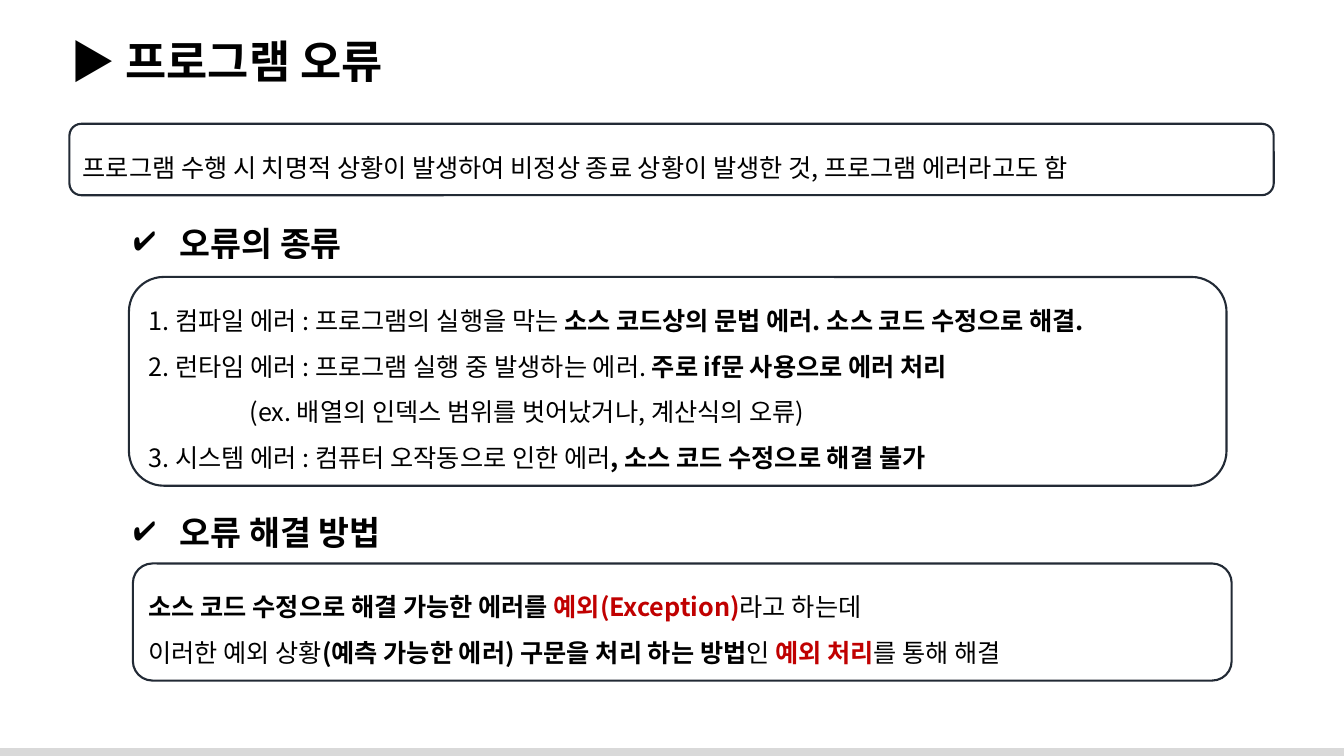
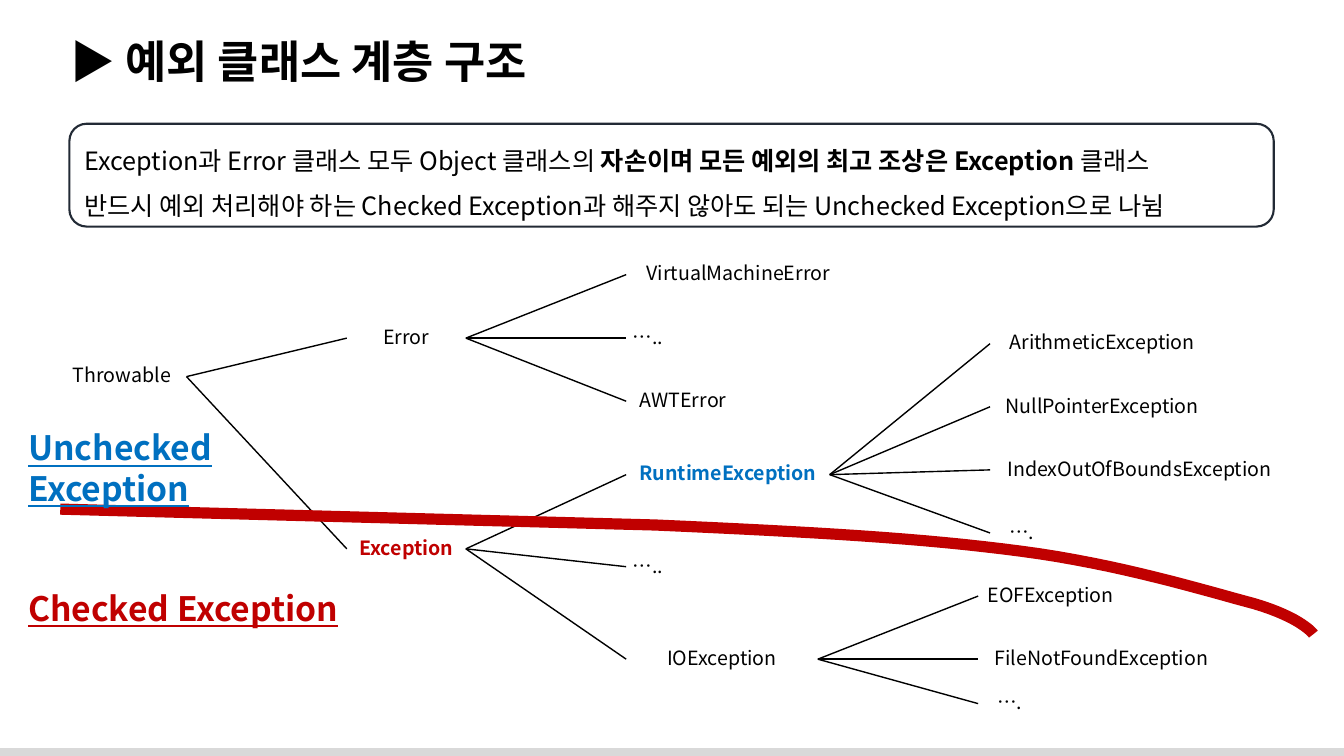
from lxml.etree import SubElement
from pptx import Presentation
from pptx.dml.color import RGBColor
from pptx.enum.shapes import MSO_CONNECTOR, MSO_SHAPE
from pptx.enum.text import MSO_ANCHOR, MSO_AUTO_SIZE, PP_ALIGN
from pptx.oxml.ns import qn
from pptx.util import Cm, Pt

FONT = "Noto Sans CJK KR"
BLACK = RGBColor(0x00, 0x00, 0x00)
NAVY = RGBColor(0x22, 0x2A, 0x35)
GRAY = RGBColor(0xD9, 0xD9, 0xD9)
RED = RGBColor(0xC0, 0x00, 0x00)
BLUE = RGBColor(0x00, 0x70, 0xC0)
WIDE, HIGH = 33.87, 19.05
GAP = 4.04
ROW = 0.8

LIST = [
    ["1. 컴파일 에러 : 프로그램의 실행을 막는 ",
     ("소스 코드상의 문법 에러. 소스 코드 수정으로 해결.", BLACK)],
    ["2. 런타임 에러 : 프로그램 실행 중 발생하는 에러. ",
     ("주로 if문 사용으로 에러 처리", BLACK)],
    ["(ex. 배열의 인덱스 범위를 벗어났거나, 계산식의 오류)"],
    ["3. 시스템 에러 : 컴퓨터 오작동으로 인한 에러",
     (", 소스 코드 수정으로 해결 불가", BLACK)],
]
SOLVE = [
    [("소스 코드 수정으로 해결 가능한 에러를 ", BLACK),
     ("예외(Exception)", RED), "라고 하는데"],
    ["이러한 예외 상황",
     ("(예측 가능한 에러) 구문을 처리 하는 방법", BLACK),
     "인 ", ("예외 처리", RED), "를 통해 해결"],
]
INTRO = [
    ["Exception과 Error 클래스 모두 Object 클래스의 ",
     ("자손이며 모든 예외의 최고 조상은 Exception ", BLACK), "클래스"],
    ["반드시 예외 처리해야 하는 Checked Exception과 해주지 않아도 되는 "
     "Unchecked Exception으로 나뉨"],
]
RUNTIME = [
    ("ArithmeticException", 8.66, 5.66, []),
    ("NullPointerException", 10.25, 5.66, []),
    ("IndexOutOfBoundsException", 11.84, 7.54, []),
    ("….", 13.43, 1.6, []),
]
STREAM = [
    ("EOFException", 15.02, 3.66, []),
    ("FileNotFoundException", 16.61, 6.22, []),
    ("….", 17.73, 1.6, []),
]
TREE = ("Throwable", 9.49, 3.25, [
    ("Error", 8.52, 3, [
        ("VirtualMachineError", 6.92, 5.66, []),
        ("…..", 8.52, 1.1, []),
        ("AWTError", 10.11, 2.87, []),
    ]),
    (("Exception", RED), 13.83, 3, [
        (("RuntimeException", BLUE), 11.96, 5.13, RUNTIME),
        ("…..", 14.28, 1.1, []),
        ("IOException", 16.61, 4.83, STREAM),
    ]),
])
CURVE = [
    [(16.51, 13.23), (20.55, 13.41), (23.22, 13.56), (25.73, 13.89)],
    [(25.73, 13.89), (28.24, 14.22), (30.35, 14.88), (31.6, 15.21)],
    [(31.6, 15.21), (32.82, 15.57), (33.1, 15.98), (33.1, 15.98)],
]


def place(shape, x, y, w, h):
    shape.left, shape.top, shape.width, shape.height = map(Cm, (x, y, w, h))


def style(run, size, color, bold):
    font = run.font
    font.size, font.bold = Pt(size), bold
    font.color.rgb = color
    font.name = FONT
    SubElement(run._r.get_or_add_rPr(), qn("a:ea")).set("typeface", FONT)


def indent(para, left, first=0, mark=None):
    props = para._p.get_or_add_pPr()
    props.set("marL", str(Cm(left)))
    props.set("indent", str(Cm(first)))
    if mark:
        SubElement(props, qn("a:buChar")).set("char", mark)
    else:
        SubElement(props, qn("a:buNone"))


def write(frame, lines, size, space=1.0, align=PP_ALIGN.LEFT):
    frame.word_wrap = True
    frame.auto_size = MSO_AUTO_SIZE.NONE
    for at, line in enumerate(lines):
        para = frame.add_paragraph() if at else frame.paragraphs[0]
        para.alignment, para.line_spacing = align, space
        para.space_before = para.space_after = Pt(0)
        for part in line:
            bold = isinstance(part, tuple)
            text, color = part if bold else (part, BLACK)
            run = para.add_run()
            run.text = text
            style(run, size, color, bold)
    return frame.paragraphs


def label(slide, x, y, w, h):
    frame = slide.shapes.add_textbox(*map(Cm, (x, y, w, h))).text_frame
    frame.vertical_anchor = MSO_ANCHOR.TOP
    return frame


def start(deck, kind, title):
    slide = deck.slides.add_slide(deck.slide_layouts[kind])
    band = slide.shapes.add_shape(
        MSO_SHAPE.RECTANGLE, 0, Cm(18.85), Cm(WIDE), Cm(HIGH - 18.85))
    band.shadow.inherit = False
    band.fill.solid()
    band.fill.fore_color.rgb = GRAY
    band.line.fill.background()
    head = slide.shapes.title
    place(head, 1.52, 0.71, 32, 1.63)
    head.text_frame.vertical_anchor = MSO_ANCHOR.TOP
    write(head.text_frame, [[("▶ " + title, BLACK)]], 32)
    return slide


def box(slide, x, y, w, h, lines=()):
    shape = slide.shapes.add_shape(
        MSO_SHAPE.ROUNDED_RECTANGLE, *map(Cm, (x, y, w, h)))
    shape.shadow.inherit = False
    shape.fill.background()
    shape.line.color.rgb = NAVY
    shape.line.width = Pt(1.5)
    shape.text_frame.vertical_anchor = MSO_ANCHOR.MIDDLE
    if lines:
        write(shape.text_frame, lines, 18, 1.5)


def items(slide, x, y, w, h, lines):
    box(slide, x, y, w, h)
    body = slide.placeholders[1]
    place(body, x, y, w, h)
    frame = body.text_frame
    frame.vertical_anchor = MSO_ANCHOR.MIDDLE
    frame.margin_left = frame.margin_right = Cm(0.5)
    for para in write(frame, lines, 18, 1.5):
        indent(para, 2.54 if para.text.startswith("(") else 0)


def check(slide, y, text):
    frame = label(slide, 3.12, y, 8, 1.27)
    para = write(frame, [[(text, BLACK)]], 24)[0]
    indent(para, 1.16, -1.16, "✔")


def edge(slide, *ends):
    line = slide.shapes.add_connector(MSO_CONNECTOR.STRAIGHT, *map(Cm, ends))
    line.line.color.rgb = BLACK
    line.line.width = Pt(1)
    SubElement(line._element.spPr, qn("a:effectLst"))


def grow(slide, node, x):
    name, y, w, kids = node
    frame = label(slide, x, y - ROW / 2, w, ROW)
    frame.vertical_anchor = MSO_ANCHOR.MIDDLE
    frame.margin_left = frame.margin_right = Cm(0.03)
    frame.margin_top = frame.margin_bottom = Cm(0.03)
    write(frame, [[name]], 14, 0.9, PP_ALIGN.CENTER)
    for kid in kids:
        edge(slide, x + w, y, x + w + GAP, kid[1])
        grow(slide, kid, x + w + GAP)


def bend(a, b, c, d, t):
    s = 1 - t
    return tuple(
        Cm(s**3 * p + 3 * s * s * t * q + 3 * s * t * t * u + t**3 * v)
        for p, q, u, v in zip(a, b, c, d))


def sweep(slide):
    path = slide.shapes.build_freeform(Cm(1.52), Cm(12.83))
    dots = [bend(*arc, step / 16) for arc in CURVE for step in range(17)]
    path.add_line_segments(dots, close=False)
    curve = path.convert_to_shape()
    curve.shadow.inherit = False
    curve.fill.background()
    curve.line.color.rgb = RED
    curve.line.width = Pt(8)


def errors(deck):
    slide = start(deck, 1, "프로그램 오류")
    box(slide, 1.75, 3.12, 30.35, 1.8, [[
        "프로그램 수행 시 치명적 상황이 발생하여 비정상 종료 상황이 발생한 것, "
        "프로그램 에러라고도 함"]])
    check(slide, 5.49, "오류의 종류")
    items(slide, 3.25, 6.98, 27.66, 5.26, LIST)
    check(slide, 12.78, "오류 해결 방법")
    box(slide, 3.35, 14.2, 27.69, 2.95, SOLVE)


def classes(deck):
    slide = start(deck, 5, "예외 클래스 계층 구조")
    box(slide, 1.75, 3.12, 30.35, 2.59, INTRO)
    grow(slide, TREE, 1.45)
    sweep(slide)
    frame = label(slide, 0.46, 10.64, 9.19, 5.5)
    paras = write(frame, [[("Unchecked Exception", BLUE)],
                          [("Checked Exception", RED)]], 24)
    paras[1].space_before = Pt(57)
    for para in paras:
        para.runs[0].font.underline = True


def main():
    deck = Presentation()
    deck.slide_width, deck.slide_height = Cm(WIDE), Cm(HIGH)
    errors(deck)
    classes(deck)
    deck.save("out.pptx")


if __name__ == "__main__":
    main()
